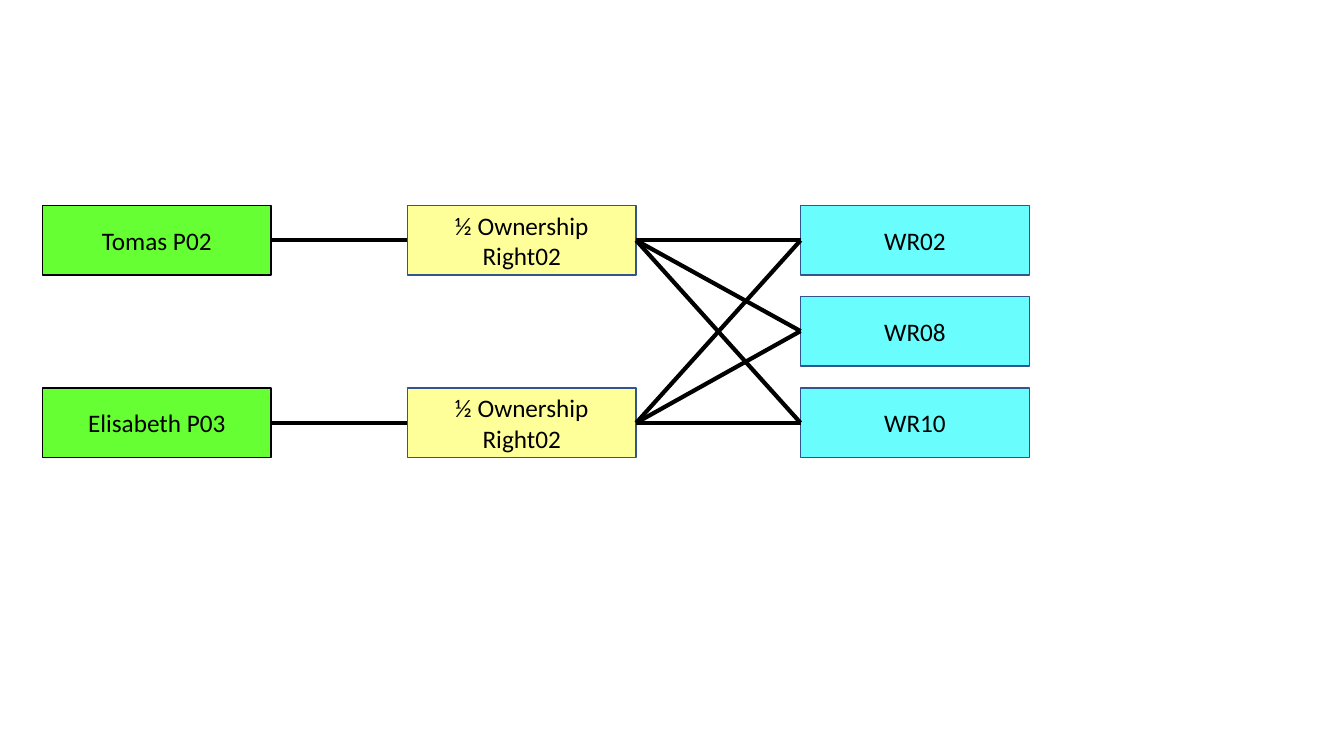
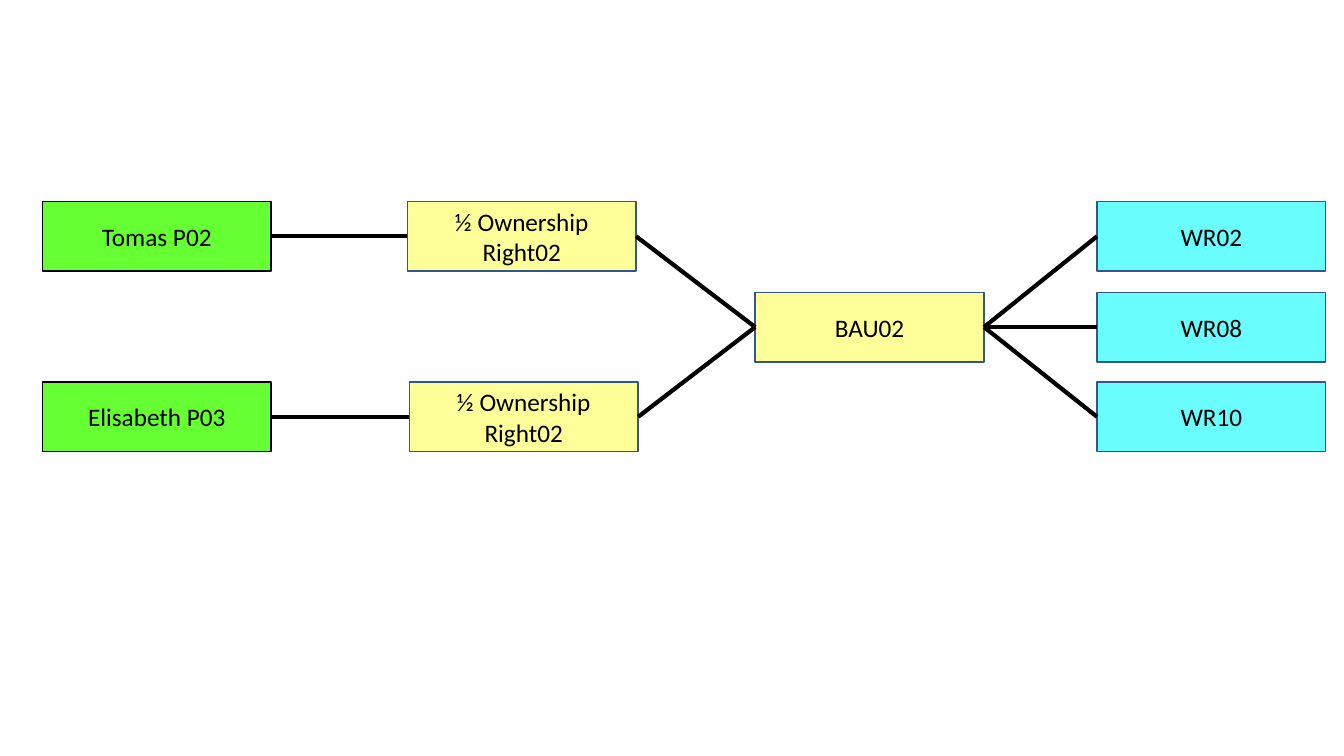
from itertools import product

from lxml import etree
from pptx import Presentation
from pptx.dml.color import RGBColor
from pptx.enum.shapes import MSO_CONNECTOR, MSO_SHAPE
from pptx.enum.text import MSO_ANCHOR, PP_ALIGN
from pptx.oxml.ns import qn
from pptx.util import Inches, Pt

RECTANGLE = MSO_SHAPE.RECTANGLE
STRAIGHT = MSO_CONNECTOR.STRAIGHT
CENTER = PP_ALIGN.CENTER
MIDDLE = MSO_ANCHOR.MIDDLE
LEFT_SIDE, RIGHT_SIDE = 1, 3

BLACK = RGBColor(0x00, 0x00, 0x00)
BLUE = RGBColor(0x32, 0x54, 0x91)
GREEN = RGBColor(0x66, 0xFF, 0x33)
YELLOW = RGBColor(0xFF, 0xFF, 0x99)
CYAN = RGBColor(0x69, 0xFD, 0xFD)

BOX_WIDTH, BOX_HEIGHT = 2.27, 0.69
PERSON_LEFT = 0.42
PERSONS = ["Tomas P02", "Elisabeth P03"]
SHARE = "½ Ownership Right02"
WATER_RIGHTS = ["WR02", "WR08", "WR10"]

# Row tops, left of each ownership share, left of the water rights, unit left
LAYOUTS = [
    ((2.04, 2.94, 3.85), (4.04, 4.04), 7.94, None),
    ((2.00, 2.90, 3.79), (4.04, 4.06), 10.88, 7.49),
]

prs = Presentation()
prs.slide_width, prs.slide_height = Inches(13.33), Inches(7.5)
blank = prs.slide_layouts[6]


def add_box(slide, text, left, top, fill, outline=BLUE):
    box = slide.shapes.add_shape(RECTANGLE, Inches(left), Inches(top),
                                 Inches(BOX_WIDTH), Inches(BOX_HEIGHT))
    box.shadow.inherit = False
    box.fill.solid()
    box.fill.fore_color.rgb = fill
    box.line.color.rgb = outline
    box.line.width = Pt(1)
    frame = box.text_frame
    frame.word_wrap = True
    frame.vertical_anchor = MIDDLE
    paragraph = frame.paragraphs[0]
    paragraph.alignment = CENTER
    run = paragraph.add_run()
    run.text = text
    run.font.name = "Calibri"
    run.font.size = Pt(18)
    run.font.color.rgb = BLACK
    return box


def link(slide, source, target):
    """Join the right side of source to the left side of target."""
    line = slide.shapes.add_connector(STRAIGHT, 0, 0, 0, 0)
    line.begin_connect(source, RIGHT_SIDE)
    line.end_connect(target, LEFT_SIDE)
    line.line.color.rgb = BLACK
    line.line.width = Pt(3)
    etree.SubElement(line._element.spPr, qn("a:effectLst"))


for row_tops, share_lefts, rights_left, unit_left in LAYOUTS:
    slide = prs.slides.add_slide(blank)
    outer_tops = (row_tops[0], row_tops[-1])

    persons = [add_box(slide, name, PERSON_LEFT, top, GREEN, BLACK)
               for name, top in zip(PERSONS, outer_tops)]
    shares = [add_box(slide, SHARE, left, top, YELLOW)
              for left, top in zip(share_lefts, outer_tops)]
    rights = [add_box(slide, name, rights_left, top, CYAN)
              for name, top in zip(WATER_RIGHTS, row_tops)]

    links = list(zip(persons, shares))
    if unit_left is None:
        links += product(shares, rights)
    else:
        unit = add_box(slide, "BAU02", unit_left, row_tops[1], YELLOW)
        links += [(share, unit) for share in shares]
        links += [(unit, right) for right in rights]

    for source, target in links:
        link(slide, source, target)

prs.save("out.pptx")
